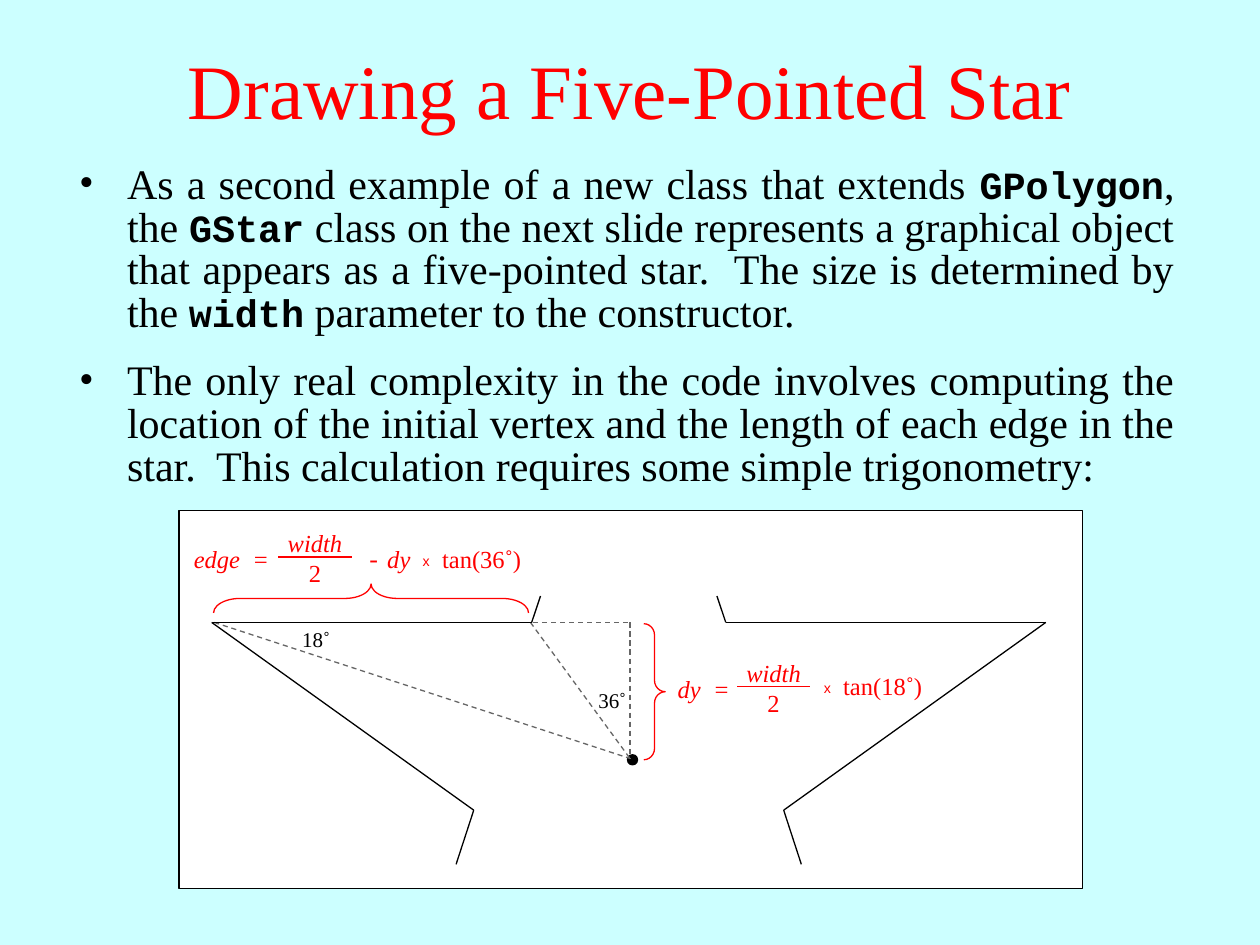
import pptx
import pptx.util
import pptx.dml.color
import pptx.enum.dml
import pptx.enum.shapes
import pptx.enum.text
from lxml import etree
from pptx.util import Inches, Pt

COLORS = {"sky": "CCFFFF", "red": "FF0000", "black": "000000",
          "white": "FFFFFF", "gray": "666666"}
RGB = {name: pptx.dml.color.RGBColor.from_string(code)
       for name, code in COLORS.items()}
SERIF, MONO, SANS = "Times New Roman", "Courier New", "Arial"
ALIGN = pptx.enum.text.PP_ALIGN
KIND = pptx.enum.shapes.MSO_SHAPE
NS = "http://schemas.openxmlformats.org/drawingml/2006/main"

deck = pptx.Presentation()
deck.slide_width, deck.slide_height = Inches(10), Inches(7.5)
slide = deck.slides.add_slide(deck.slide_layouts[5])
slide.background.fill.solid()
slide.background.fill.fore_color.rgb = RGB["sky"]
shapes = slide.shapes


def add_line(start, end, color="black", dash=False):
    line = shapes.add_connector(
        pptx.enum.shapes.MSO_CONNECTOR.STRAIGHT,
        *[Inches(v) for v in (*start, *end)])
    line.line.color.rgb = RGB[color]
    line.line.width = Pt(0.75)
    if dash:
        line.line.dash_style = pptx.enum.dml.MSO_LINE.DASH
    etree.SubElement(line._element.spPr, f"{{{NS}}}effectLst")


def add_text(place, size, color, runs, align=ALIGN.LEFT):
    """Each run is its text and a dict of font, size, bold, italic, base."""
    box = shapes.add_textbox(*[Inches(v) for v in place])
    box.text_frame.word_wrap = True
    para = box.text_frame.paragraphs[0]
    para.alignment = align
    for words, style in runs:
        run = para.add_run()
        run.text = words
        run.font.name = style.get("font", SERIF)
        run.font.size = Pt(style.get("size", size))
        run.font.color.rgb = RGB[color]
        run.font.bold = style.get("bold")
        run.font.italic = style.get("italic")
        if "base" in style:
            run.font._element.set("baseline", str(style["base"]))
    return para


# Title
title = shapes.title
title.left, title.top = Inches(0), Inches(0.08)
title.width, title.height = Inches(10), Inches(1.25)
title.text_frame.text = "Drawing a Five-Pointed Star"
title.text_frame.vertical_anchor = pptx.enum.text.MSO_ANCHOR.MIDDLE
head = title.text_frame.paragraphs[0]
head.alignment = ALIGN.CENTER
head.font.name, head.font.size = SERIF, Pt(44)
head.font.color.rgb = RGB["red"]

# Bullets
code = {"font": MONO, "size": 22, "bold": True}
bullets = [
    (1.26, [("As a second example of a new class that extends ", {}),
            ("GPolygon", code), (", the ", {}), ("GStar", code),
            (" class on the next slide represents a graphical object that "
             "appears as a five-pointed star.  The size is determined by the ", {}),
            ("width", code), (" parameter to the constructor.", {})]),
    (2.82, [("The only real complexity in the code involves computing the "
             "location of the initial vertex and the length of each edge in the "
             "star.  This calculation requires some simple trigonometry:", {})]),
]
for top, runs in bullets:
    para = add_text((0.53, top, 8.89, 1.68), 24, "black", runs, ALIGN.JUSTIFY)
    props = para._p.get_or_add_pPr()
    props.set("marL", str(Inches(0.38)))
    props.set("indent", str(-Inches(0.38)))
    etree.SubElement(props, f"{{{NS}}}buFont", typeface=SERIF)
    etree.SubElement(props, f"{{{NS}}}buChar", char="•")
    para.line_spacing = 0.85
    para.space_after = Pt(15)
    para.font.name, para.font.size = SERIF, Pt(24)

# Panel and center dot
for kind, place, fill in [(KIND.RECTANGLE, (1.42, 4.05, 7.17, 3), "white"),
                          (KIND.OVAL, (4.98, 5.99, 0.08, 0.08), "black")]:
    shape = shapes.add_shape(kind, *[Inches(v) for v in place])
    shape.shadow.inherit = False
    shape.fill.solid()
    shape.fill.fore_color.rgb = RGB[fill]
    shape.line.color.rgb = RGB["black"]
    shape.line.width = Pt(0.75)

# Dashed guides
center = (5, 6.02)
for start, end in [((4.23, 4.94), (4.99, 4.94)), ((5, 4.94), center),
                   ((1.7, 4.94), center), ((4.21, 4.94), center)]:
    add_line(start, end, "gray", dash=True)

# Star edges: the left half, then its mirror about x = 4.99
edge = [(4.29, 4.73), (4.22, 4.94), (1.68, 4.94), (3.76, 6.43), (3.62, 6.86)]
for half in (edge, [(9.98 - x, y) for x, y in edge]):
    for start, end in zip(half, half[1:]):
        add_line(start, end)

# Braces
for kind, place, turn, curve in [
        (KIND.LEFT_BRACE, (2.83, 3.5, 0.23, 2.5), 90, 0.91),
        (KIND.RIGHT_BRACE, (5.11, 4.95, 0.17, 1.08), 0, 0.53)]:
    brace = shapes.add_shape(kind, *[Inches(v) for v in place])
    brace.rotation = turn
    brace.adjustments[0] = curve
    brace.shadow.inherit = False
    brace.fill.background()
    brace.line.color.rgb = RGB["red"]
    brace.line.width = Pt(0.75)

# Angles
for left, top, words in [(2.01, 4.92, "18˚"), (4.36, 5.41, "36˚")]:
    add_text((left, top, 1, 0.3), 12, "black", [(words, {})], ALIGN.CENTER)

# Fractions: width over 2
slant = {"italic": True}
for left, top in [(2, 4.14), (5.64, 5.17)]:
    add_text((left, top, 1, 0.34), 14, "red", [("width", slant)], ALIGN.CENTER)
    add_line((left + 0.21, top + 0.28), (left + 0.79, top + 0.28), "red")
    add_text((left, top + 0.24, 1, 0.34), 14, "red", [("2", {})], ALIGN.CENTER)

# Other formula parts
times = ("x", {"font": SANS, "base": 10000})
for left, top, width, runs in [
        (1.44, 4.27, 0.83, [("edge  =", slant)]),
        (2.81, 4.27, 1.6, [("-", {"font": MONO}), (" dy  ", slant), times,
                           ("  tan(36˚)", {})]),
        (5.28, 5.3, 2.92, [("dy  =", slant)]),
        (6.44, 5.28, 1, [times, ("  tan(18˚)", {})])]:
    add_text((left, top, width, 0.34), 14, "red", runs)

deck.save("out.pptx")
